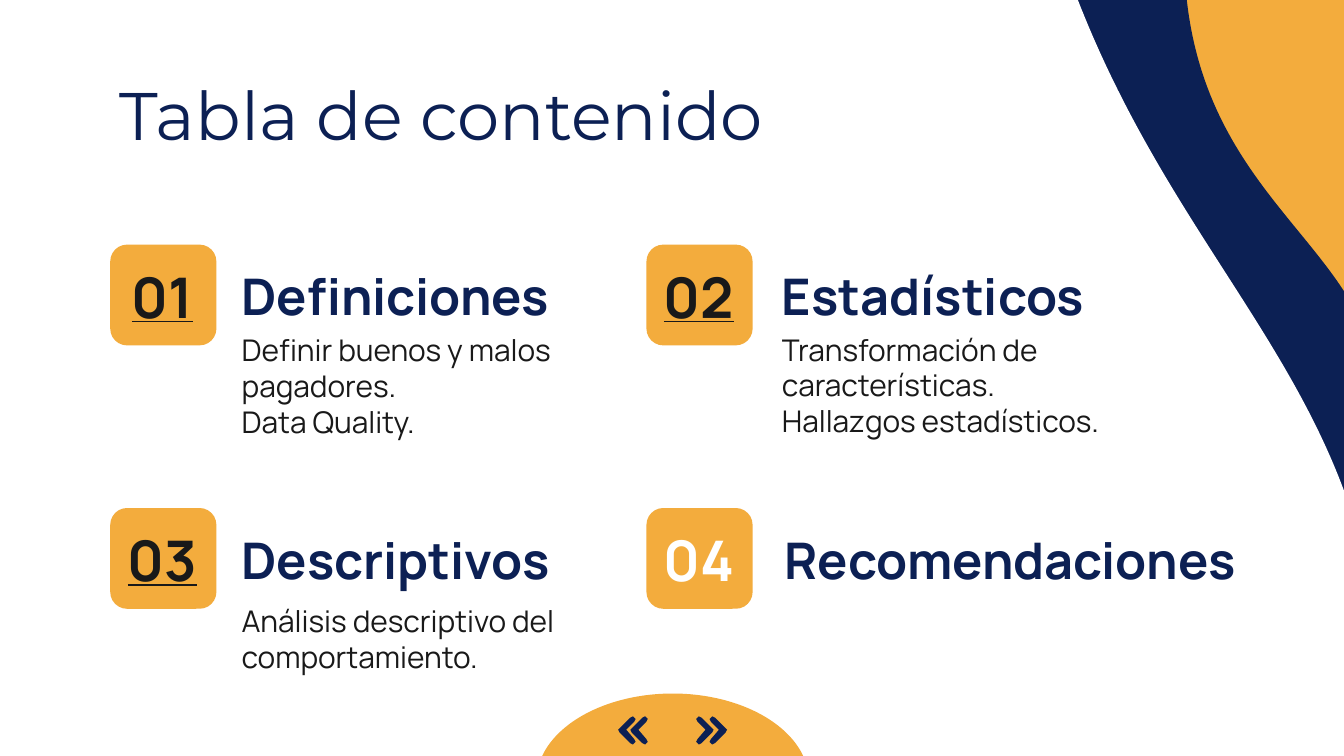
from pptx import Presentation
from pptx.dml.color import RGBColor
from pptx.enum import shapes, text
from pptx.util import Inches, Pt

NAVY, ORANGE, WHITE, INK = "0C2054", "F3AC3D", "FFFFFF", "191919"
SHAPE = shapes.MSO_SHAPE
HEADING = dict(name="Manrope", size=Pt(27), bold=True)
NUMBER = dict(name="Manrope", size=Pt(30), bold=True)
BODY = dict(name="Manrope", size=Pt(16))
TITLE = dict(name="Montserrat", size=Pt(36))

# number, linked, heading, body lines, tile left, tile top, text left, heading width, body height
TOPICS = [
    ("01", True, "Definiciones", ["Definir buenos y malos pagadores.", "Data Quality."],
     0.82, 1.82, 1.7, 3.3, 0.82),
    ("02", True, "Estadísticos", ["Transformación de características.", "Hallazgos estadísticos."],
     4.81, 1.82, 5.72, 2.94, 0.81),
    ("03", True, "Descriptivos", ["Análisis descriptivo del comportamiento."],
     0.82, 3.78, 1.7, 2.94, 0.66),
    ("04", False, "Recomendaciones", [], 4.81, 3.78, 5.74, 3.95, 0),
]
CHEVRON_WIDTH = 0.13
CHEVRON = [(0.02, 0), (0.04, 0.01), (0.12, 0.09), (0.13, 0.1), (0.12, 0.12), (0.04, 0.2),
           (0.02, 0.21), (0.01, 0.2), (0, 0.19), (0.01, 0.17), (0.07, 0.1), (0.01, 0.04),
           (0, 0.02), (0.01, 0.01)]


def colour(value):
    return RGBColor.from_string(value)


def paint(shape, fill):
    shape.shadow.inherit = False
    shape.fill.solid()
    shape.fill.fore_color.rgb = colour(fill)
    shape.line.fill.background()


def add_block(page, kind, box, fill, rotation=0):
    block = page.shapes.add_shape(kind, *map(Inches, box))
    paint(block, fill)
    block.rotation = rotation
    return block


def add_text(page, box, lines, font, fill, align=text.PP_ALIGN.LEFT):
    frame = page.shapes.add_textbox(*map(Inches, box)).text_frame
    frame.word_wrap = True
    frame.vertical_anchor = text.MSO_ANCHOR.MIDDLE
    for side in ("left", "top", "right", "bottom"):
        setattr(frame, f"margin_{side}", Inches(0.1))
    for index, line in enumerate(lines):
        para = frame.paragraphs[0] if index == 0 else frame.add_paragraph()
        para.alignment = align
        span = para.add_run()
        span.text = line
        for name, value in font.items():
            setattr(span.font, name, value)
        span.font.color.rgb = colour(fill)


def add_backdrop(page):
    page.background.fill.solid()
    page.background.fill.fore_color.rgb = colour(ORANGE)
    add_block(page, SHAPE.FLOWCHART_DOCUMENT, (4.66, -1.37, 4.36, 6.93), NAVY, 267)
    add_block(page, SHAPE.FLOWCHART_DOCUMENT, (-0.56, -2.74, 10.13, 11.42), WHITE, 264.8)


def add_topic(page, number, linked, heading, body, left, top, text_left, width, body_height):
    tile = add_block(page, SHAPE.ROUNDED_RECTANGLE, (left, top, 0.79, 0.75), ORANGE)
    tile.adjustments[0] = 0.167
    add_text(page, (left - 0.02, top + 0.09, 0.82, 0.58), [number],
             dict(NUMBER, underline=linked), INK if linked else WHITE, text.PP_ALIGN.CENTER)
    add_text(page, (text_left, top + 0.09, width, 0.58), [heading], HEADING, NAVY)
    if body:
        add_text(page, (text_left, top + 0.64, 2.94, body_height), body, BODY, INK)


def add_chevron(page, left, top, points_left):
    points = [(Inches(left + (CHEVRON_WIDTH - x if points_left else x)), Inches(top + y))
              for x, y in CHEVRON]
    builder = page.shapes.build_freeform(*points[0])
    builder.add_line_segments(points[1:], close=True)
    paint(builder.convert_to_shape(), NAVY)


def add_navigation(page, left, top):
    dome = add_block(page, SHAPE.PIE, (left, top, 2.03, 1.31), ORANGE, 180)
    dome.adjustments[0] = 0
    dome.adjustments[1] = 108.31
    for offset, points_left in ((0.61, True), (0.7, True), (1.19, False), (1.29, False)):
        add_chevron(page, left + offset, top + 0.17, points_left)


def main():
    deck = Presentation()
    deck.slide_width = Inches(10)
    deck.slide_height = deck.slide_width * 9 // 16
    page = deck.slides.add_slide(deck.slide_layouts[6])
    add_backdrop(page)
    add_text(page, (0.79, 0.58, 8.43, 0.53), ["Tabla de contenido"], TITLE, NAVY)
    for topic in TOPICS:
        add_topic(page, *topic)
    add_navigation(page, 3.99, 5.16)
    deck.save("out.pptx")


if __name__ == "__main__":
    main()
